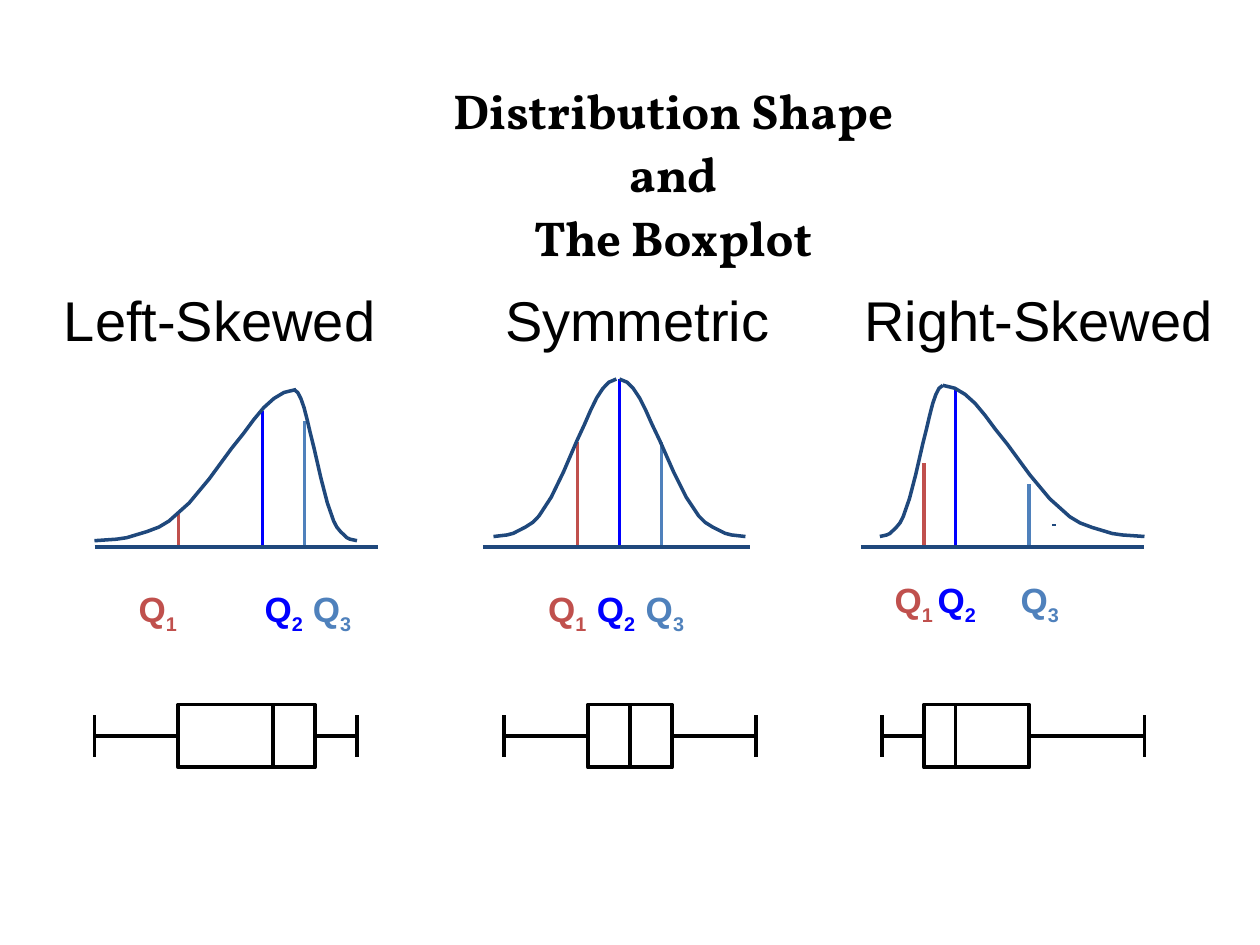
from dataclasses import dataclass

from lxml import etree
from pptx import Presentation
from pptx.dml.color import RGBColor
from pptx.enum.shapes import MSO_CONNECTOR, MSO_SHAPE
from pptx.enum.text import PP_ALIGN
from pptx.oxml.ns import qn
from pptx.util import Inches, Pt

STRAIGHT = MSO_CONNECTOR.STRAIGHT
RECTANGLE = MSO_SHAPE.RECTANGLE
LEFT, CENTER = PP_ALIGN.LEFT, PP_ALIGN.CENTER
TOP_SIDE, LEFT_SIDE, BOTTOM_SIDE, RIGHT_SIDE = range(4)

COLUMNS, ROWS = 120, 90
BASELINE_ROW = 52.1
BOX_TOP, BOX_HEIGHT = 67.1, 6
CAP_HEIGHT = 4

BELL_PROFILE = [
    (0, 0), (0.11, 0.01), (0.16, 0.02), (0.21, 0.04), (0.26, 0.06),
    (0.32, 0.09), (0.37, 0.13), (0.47, 0.25), (0.57, 0.41), (0.68, 0.61),
    (0.74, 0.71), (0.79, 0.8), (0.84, 0.88), (0.89, 0.94), (0.94, 0.98), (1, 1),
]


@dataclass(frozen=True)
class Theme:
    ink: str = "000000"
    curve: str = "1F487C"
    quartiles: tuple = ("C0504D", "0000FF", "4F81BC")
    title_font: str = "Vollkorn"
    body_font: str = "Arial"
    title_size: float = 28
    heading_size: float = 32
    label_size: float = 20
    subscript_size: float = 19.5
    thin: float = 0.75
    medium: float = 2
    thick: float = 2.25


@dataclass(frozen=True)
class Distribution:
    heading: str
    heading_left: float
    heading_width: float
    axis: tuple
    feet: tuple
    peaks: tuple
    foot_row: float
    peak_row: float
    quartiles: tuple
    label_left: float
    label_row: float
    label_width: float
    label_tabs: tuple
    five_numbers: tuple


DISTRIBUTIONS = [
    Distribution("Left-Skewed", 6.1, 30, (9, 36), (9, 34), (28.2, 28), 51.5, 37.1,
                 ((17, 49), (25, 39.1), (29, 40.1)),
                 13.2, 56, 23, (12, 16.6), (9, 17, 26, 30, 34)),
    Distribution("Symmetric", 48.1, 26, (46, 71.4), (47, 71), (58.7, 59), 51.1, 36.1,
                 ((55, 42.1), (59, 36.1), (63, 42.1)),
                 52.2, 56, 14.2, (4.65, 9.3), (48, 56, 60, 64, 72)),
    Distribution("Right-Skewed", 82.3, 34, (82, 109), (83.8, 109), (89.8, 89.8), 51.1, 36.7,
                 ((88, 44.1), (91, 37), (98, 46.1)),
                 85.2, 55.1, 30, (4.1, 12), (84, 88, 91, 98, 109)),
]


class Sketch:
    def __init__(self, deck, theme):
        self.theme = theme
        self.slide = deck.slides.add_slide(deck.slide_layouts[6])
        self.column = deck.slide_width / COLUMNS
        self.row = deck.slide_height / ROWS

    def place(self, x, y):
        return round(x * self.column), round(y * self.row)

    def stroke(self, shape, color, width):
        shape.line.color.rgb = RGBColor.from_string(color)
        shape.line.width = Pt(width)

    def style(self, font, name, size, color, bold=False):
        font.name = name
        font.size = Pt(size)
        font.bold = bold
        font.color.rgb = RGBColor.from_string(color)

    def frame(self, x, y, width, height):
        box = self.slide.shapes.add_textbox(*self.place(x, y), *self.place(width, height))
        frame = box.text_frame
        frame.word_wrap = True
        frame.margin_left = frame.margin_right = frame.margin_top = frame.margin_bottom = 0
        return frame

    def text(self, words, x, y, width, height, font, size, bold=False, align=LEFT, spacing=1.0):
        frame = self.frame(x, y, width, height)
        frame.text = words
        for para in frame.paragraphs:
            para.alignment = align
            para.line_spacing = spacing
            for span in para.runs:
                self.style(span.font, font, size, self.theme.ink, bold)

    def quartile_labels(self, x, y, width, tabs):
        theme = self.theme
        para = self.frame(x, y, width, 4.3).paragraphs[0]
        stops = etree.SubElement(para._p.get_or_add_pPr(), qn("a:tabLst"))
        for tab in tabs:
            etree.SubElement(stops, qn("a:tab"), pos=str(round(tab * self.column)), algn="l")
        for number, color in enumerate(theme.quartiles, 1):
            letter, subscript = para.add_run(), para.add_run()
            letter.text = "Q"
            subscript.text = f"{number}\t" if number < len(theme.quartiles) else str(number)
            self.style(letter.font, theme.body_font, theme.label_size, color, True)
            self.style(subscript.font, theme.body_font, theme.subscript_size, color, True)
            subscript.font._element.set("baseline", "-25000")

    def line(self, start, end, color, width):
        connector = self.slide.shapes.add_connector(STRAIGHT, *self.place(*start), *self.place(*end))
        self.stroke(connector, color, width)
        etree.SubElement(connector._element.spPr, qn("a:effectLst"))
        return connector

    def curve(self, foot, peak, foot_row, peak_row):
        points = [self.place(foot + across * (peak - foot), foot_row + up * (peak_row - foot_row))
                  for across, up in BELL_PROFILE]
        builder = self.slide.shapes.build_freeform(*points[0])
        builder.add_line_segments(points[1:], close=False)
        shape = builder.convert_to_shape()
        shape.shadow.inherit = False
        shape.fill.background()
        self.stroke(shape, self.theme.curve, self.theme.medium)

    def boxplot(self, low, first, median, third, high):
        pen = self.theme.ink, self.theme.thick
        middle, bottom = BOX_TOP + BOX_HEIGHT / 2, BOX_TOP + BOX_HEIGHT
        box = self.slide.shapes.add_shape(
            RECTANGLE, *self.place(first, BOX_TOP), *self.place(third - first, BOX_HEIGHT))
        box.shadow.inherit = False
        box.fill.background()
        self.stroke(box, *pen)
        median_line = self.line((median, BOX_TOP), (median, bottom), *pen)
        if median - first == third - median:
            median_line.begin_connect(box, TOP_SIDE)
            median_line.end_connect(box, BOTTOM_SIDE)
        for extreme, edge, side in ((low, first, LEFT_SIDE), (high, third, RIGHT_SIDE)):
            whisker = self.line((extreme, middle), (edge, middle), *pen)
            whisker.end_connect(box, side)
            self.line((extreme, middle - CAP_HEIGHT / 2), (extreme, middle + CAP_HEIGHT / 2), *pen)

    def distribution(self, item):
        theme = self.theme
        self.text(item.heading, item.heading_left, 27.2, item.heading_width, 5.6,
                  theme.body_font, theme.heading_size)
        for (x, top), color in zip(item.quartiles, theme.quartiles):
            self.line((x, top), (x, BASELINE_ROW), color, theme.medium)
        for foot, peak in zip(item.feet, item.peaks):
            self.curve(foot, peak, item.foot_row, item.peak_row)
        start, end = item.axis
        self.line((start, BASELINE_ROW), (end, BASELINE_ROW), theme.curve, theme.thick)
        self.quartile_labels(item.label_left, item.label_row, item.label_width, item.label_tabs)
        self.boxplot(*item.five_numbers)


def main():
    deck = Presentation()
    deck.slide_width, deck.slide_height = Inches(10), Inches(7.5)
    theme = Theme()
    sketch = Sketch(deck, theme)
    sketch.text("Distribution Shape and\nThe Boxplot", 38.8, 7.2, 50.6, 9.5,
                theme.title_font, theme.title_size, True, CENTER, 1.08)
    for item in DISTRIBUTIONS:
        sketch.distribution(item)
    sketch.line((100.2, 50), (100.6, 50), theme.curve, theme.thin)
    deck.save("out.pptx")


if __name__ == "__main__":
    main()
